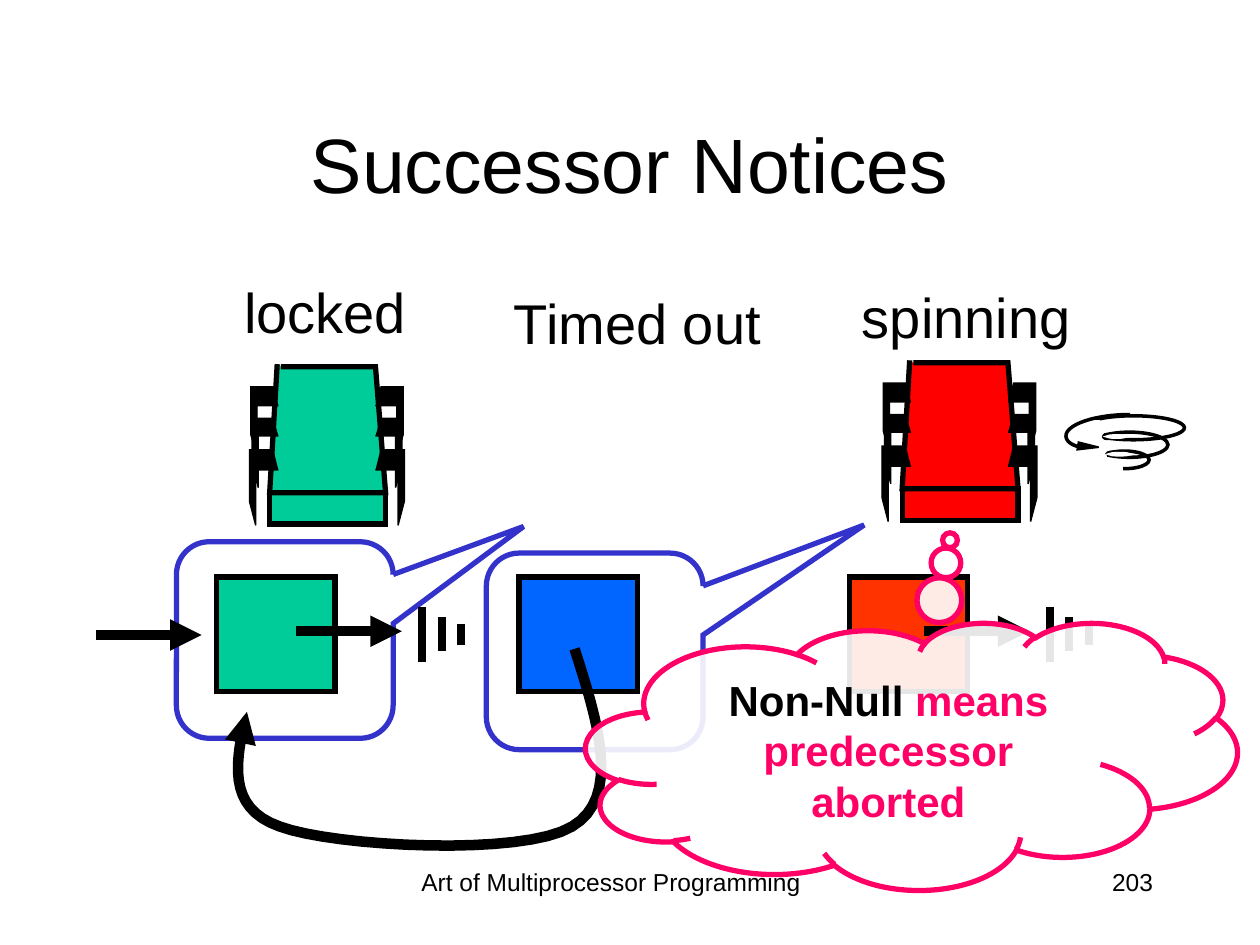
from dataclasses import dataclass

from lxml import etree
from pptx import Presentation
from pptx.dml.color import RGBColor
from pptx.enum.shapes import MSO_CONNECTOR, MSO_SHAPE
from pptx.enum.text import MSO_ANCHOR, MSO_AUTO_SIZE, PP_ALIGN
from pptx.oxml.ns import qn
from pptx.util import Inches, Pt

RECT, OVAL = MSO_SHAPE.RECTANGLE, MSO_SHAPE.OVAL
CALLOUT, CLOUD = MSO_SHAPE.ROUNDED_RECTANGULAR_CALLOUT, MSO_SHAPE.CLOUD_CALLOUT
STRAIGHT = MSO_CONNECTOR.STRAIGHT
CENTER, RIGHT = PP_ALIGN.CENTER, PP_ALIGN.RIGHT
MIDDLE = MSO_ANCHOR.MIDDLE
FONT = "Arial"
COLORS = {
    "black": "000000", "white": "FFFFFF", "green": "00CC99", "red": "FF0000",
    "orange": "FF3300", "blue": "0066FF", "indigo": "3333CC", "pink": "FF0066",
}
SLIDE_WIDTH, SLIDE_HEIGHT = Inches(10), Inches(7.5)
UNIT = SLIDE_WIDTH / 10  # the slide is a grid of 10 columns by 7.5 rows


@dataclass
class Box:
    left: float
    top: float
    width: float
    height: float


@dataclass
class Label:
    text: str
    box: Box
    size: int = 32
    align: PP_ALIGN = CENTER
    wrap: bool = False


def grid(*cells: float) -> list[int]:
    return [round(cell * UNIT) for cell in cells]


def place(box: Box) -> list[int]:
    return grid(box.left, box.top, box.width, box.height)


def color(name: str) -> RGBColor:
    return RGBColor.from_string(COLORS[name])


def style_line(line, name: str | None, width: float, arrow: bool = False) -> None:
    if name is None:
        line.fill.background()
        return
    line.color.rgb = color(name)
    line.width = Pt(width)
    ln = line._get_or_add_ln()
    etree.SubElement(ln, qn("a:miter"), lim="800000")
    if arrow:
        etree.SubElement(ln, qn("a:tailEnd"), type="triangle")


def style_shape(shape, fill: str | None, line: str | None, width: float, arrow: bool = False):
    shape.shadow.inherit = False
    if fill:
        shape.fill.solid()
        shape.fill.fore_color.rgb = color(fill)
    else:
        shape.fill.background()
    style_line(shape.line, line, width, arrow)
    return shape


def draw_shape(shapes, kind, box: Box, fill: str | None = None,
               line: str | None = "black", width: float = 3, adjust: tuple = ()):
    shape = shapes.add_shape(kind, *place(box))
    for index, value in enumerate(adjust):
        shape.adjustments[index] = value
    return style_shape(shape, fill, line, width)


def draw_path(shapes, points: list, fill: str | None = None, width: float = 0.75,
              arrow: bool = False) -> None:
    builder = shapes.build_freeform(*grid(*points[0]))
    builder.add_line_segments([grid(*point) for point in points[1:]], close=False)
    style_shape(builder.convert_to_shape(), fill, "black", width, arrow)


def bezier(start: tuple, first: tuple, second: tuple, end: tuple, steps: int = 16) -> list:
    def at(t: float, axis: int) -> float:
        s = 1 - t
        return (s**3 * start[axis] + 3 * s * s * t * first[axis]
                + 3 * s * t * t * second[axis] + t**3 * end[axis])
    return [(at(i / steps, 0), at(i / steps, 1)) for i in range(steps + 1)]


def draw_line(shapes, start: tuple, end: tuple, width: float, arrow: bool = False) -> None:
    connector = shapes.add_connector(STRAIGHT, *grid(*start, *end))
    style_line(connector.line, "black", width, arrow)
    etree.SubElement(connector._element.spPr, qn("a:effectLst"))


def set_font(font, size: int, name: str = "black", bold: bool = False) -> None:
    font.name, font.size, font.bold = FONT, Pt(size), bold
    font.color.rgb = color(name)


def draw_label(shapes, label: Label) -> None:
    frame = shapes.add_textbox(*place(label.box)).text_frame
    frame.word_wrap = label.wrap
    frame.auto_size = MSO_AUTO_SIZE.NONE if label.wrap else MSO_AUTO_SIZE.SHAPE_TO_FIT_TEXT
    paragraph = frame.paragraphs[0]
    paragraph.text, paragraph.alignment = label.text, label.align
    set_font(paragraph.font, label.size)


def draw_chair(shapes, left: float, seat_top: float, fill: str) -> None:
    chair = shapes.add_group_shape().shapes
    draw_shape(chair, RECT, Box(left, seat_top, 0.92, 0.25), fill)
    back = [(0.09, -1), (0.84, -1), (0.92, 0), (0, 0), (0.06, -1.02)]
    draw_path(chair, [(left + x, seat_top + y) for x, y in back], fill, 3)
    # Three arms a side: reach, drop, tip, thickness
    arms = [(1.07, 0.41, 0.6, 0.16), (1.05, 0.37, 0.55, 0.14), (1.06, 0.38, 0.56, 0.15)]
    for side in (1, -1):
        for row, (reach, drop, tip, thick) in enumerate(arms):
            arm = [(0.88, 0), (reach, 0), (reach, drop), (reach - 0.05, tip),
                   (reach - 0.05, thick), (0.84, thick)]
            top = seat_top - 0.34 - 0.25 * row
            draw_path(chair, [(left + 0.455 + side * (x - 0.455), top + y) for x, y in arm],
                      "black")


def draw_null_pointer(shapes, left: float) -> None:
    middle = 5.035
    draw_line(shapes, (left, 5.01), (left + 0.84, 5.01), 6, arrow=True)
    ground = shapes.add_group_shape().shapes
    for index, half in enumerate((0.22, 0.135, 0.085)):
        x = left + 1 + 0.155 * index
        draw_line(ground, (x, middle - half), (x, middle + half), 4.5)


def draw_spin(shapes) -> None:
    spin = shapes.add_group_shape().shapes
    draw_shape(spin, RECT, Box(8.42, 3.2, 1.03, 0.65), "white", None)
    for ring in (Box(8.73, 3.58, 0.39, 0.14), Box(8.66, 3.43, 0.61, 0.2),
                 Box(8.59, 3.3, 0.81, 0.19)):
        draw_shape(spin, OVAL, ring, width=2)
    # White patches open the rings on their left side
    patches = [(8.46, 3.5), (8.6, 3.56), (8.59, 3.62), (8.72, 3.69),
               (8.58, 3.51), (8.57, 3.45), (8.54, 3.41), (8.54, 3.35)]
    for left, top in patches:
        draw_shape(spin, RECT, Box(left, top, 0.18, 0.04), "white", "white", 2)
    # Rounded ends of the two inner turns
    for end, patch in ((Box(8.79, 3.59, 0.07, 0.02), Box(8.82, 3.6, 0.13, 0.01)),
                       (Box(8.76, 3.45, 0.05, 0.03), Box(8.8, 3.46, 0.12, 0.01))):
        draw_shape(spin, OVAL, end, "white", "black", 2)
        draw_shape(spin, OVAL, patch, "white", "white", 2)
    # Outer turn and its arrowhead
    draw_path(spin, bezier((8.61, 3.55), (8.53, 3.55), (8.46, 3.51), (8.46, 3.46)), width=2)
    draw_path(spin, bezier((8.46, 3.46), (8.46, 3.37), (8.69, 3.29), (8.97, 3.29)), width=2)
    draw_path(spin, [(8.56, 3.51), (8.72, 3.55), (8.55, 3.57), (8.56, 3.51)], "black", 1)


def draw_thought(shapes) -> None:
    cloud = draw_shape(shapes, CLOUD, Box(4.65, 4.94, 5.17, 2.12), "white", "pink",
                       adjust=(0.059, -0.808))
    tint = cloud._element.spPr.find(qn("a:solidFill")).find(qn("a:srgbClr"))
    etree.SubElement(tint, qn("a:alpha"), val="90000")
    cloud.text_frame.word_wrap = True
    cloud.text_frame.vertical_anchor = MIDDLE
    paragraph = cloud.text_frame.paragraphs[0]
    paragraph.alignment = CENTER
    for text, name in (("Non-Null", "black"), (" means predecessor aborted", "pink")):
        run = paragraph.add_run()
        run.text = text
        set_font(run.font, 24, name, bold=True)


def main() -> None:
    deck = Presentation()
    deck.slide_width, deck.slide_height = SLIDE_WIDTH, SLIDE_HEIGHT
    slide = deck.slides.add_slide(deck.slide_layouts[5])
    shapes = slide.shapes

    # Title
    title = shapes.title
    title.left, title.top, title.width, title.height = grid(0.75, 0.67, 8.5, 1.25)
    title.text_frame.text = "Successor Notices"
    title.text_frame.vertical_anchor = MIDDLE
    title.text_frame.paragraphs[0].alignment = CENTER
    set_font(title.text_frame.paragraphs[0].font, 44)

    # Footer and thread states
    for label in (
        Label("Art of Multiprocessor Programming", Box(2.89, 6.83, 3.92, 0.5), 14, wrap=True),
        Label("203", Box(7.17, 6.83, 2.08, 0.5), 14, RIGHT, True),
        Label("locked", Box(1.81, 2.15, 1.54, 0.64)),
        Label("Timed out", Box(3.95, 2.24, 2.22, 0.64)),
        Label("spinning", Box(6.72, 2.19, 1.9, 0.64)),
    ):
        draw_label(shapes, label)

    # Threads and their queue nodes
    draw_chair(shapes, 7.16, 3.88, "red")
    draw_chair(shapes, 2.14, 3.91, "green")
    draw_spin(shapes)
    for left, fill in ((6.74, "orange"), (4.12, "blue"), (1.72, "green")):
        draw_shape(shapes, RECT, Box(left, 4.58, 0.94, 0.91), fill)
    for left, top, tip in ((1.4, 4.3, (1.102, -0.578)), (3.86, 4.39, (1.243, -0.643))):
        draw_shape(shapes, CALLOUT, Box(left, top, 1.72, 1.56), None, "indigo",
                   adjust=(*tip, 0.167))

    # Pointers between nodes
    draw_line(shapes, (0.76, 5.04), (1.6, 5.04), 6, arrow=True)
    for left in (7.33, 2.35):
        draw_null_pointer(shapes, left)
    predecessor = (bezier((4.56, 5.15), (4.75, 5.74), (4.93, 6.33), (4.54, 6.56))
                   + bezier((4.54, 6.56), (4.15, 6.8), (2.65, 6.72), (2.22, 6.56))[1:]
                   + bezier((2.22, 6.56), (1.79, 6.41), (1.87, 6.03), (1.96, 5.65))[1:])
    draw_path(shapes, predecessor, width=6, arrow=True)

    draw_thought(shapes)
    deck.save("out.pptx")


if __name__ == "__main__":
    main()
